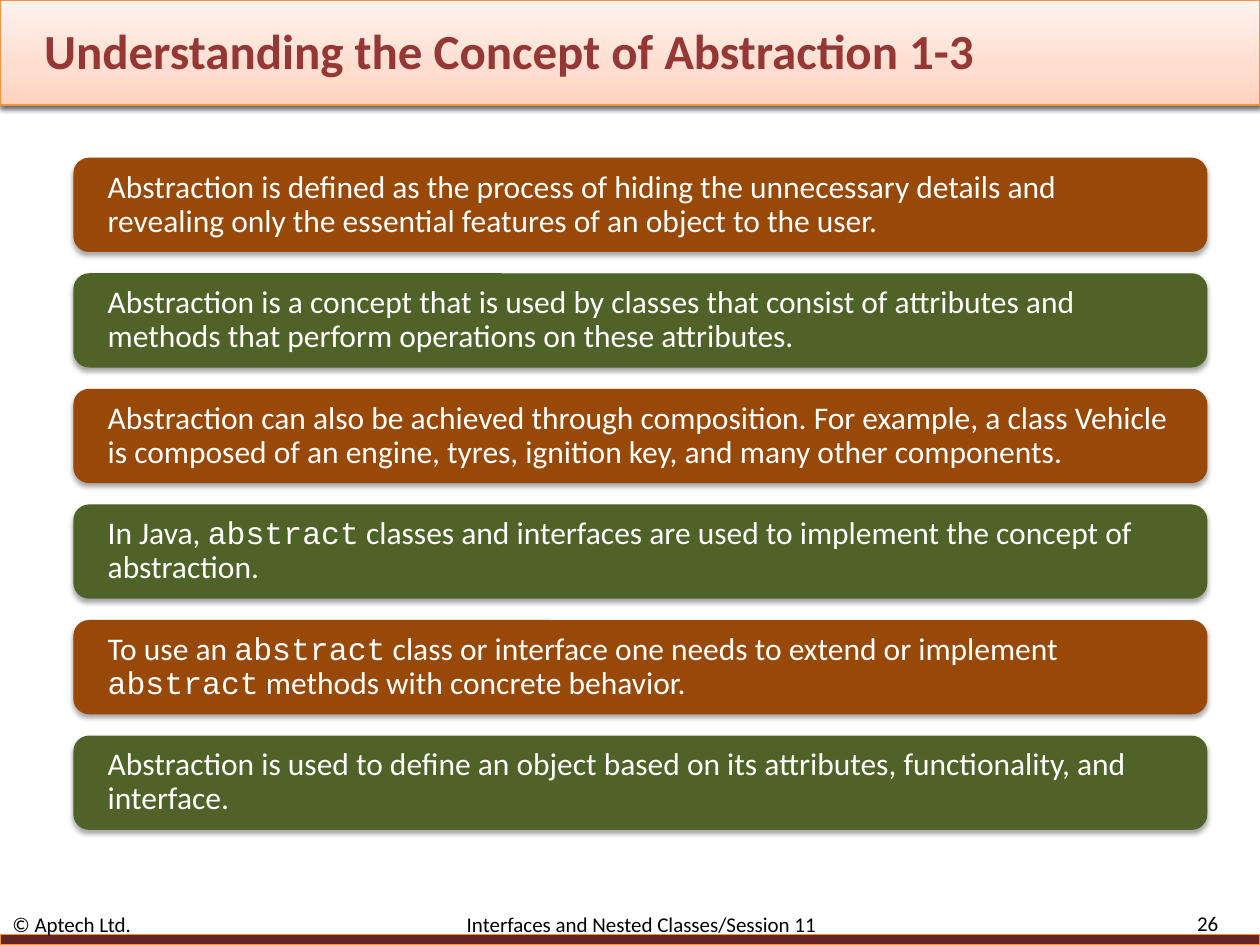
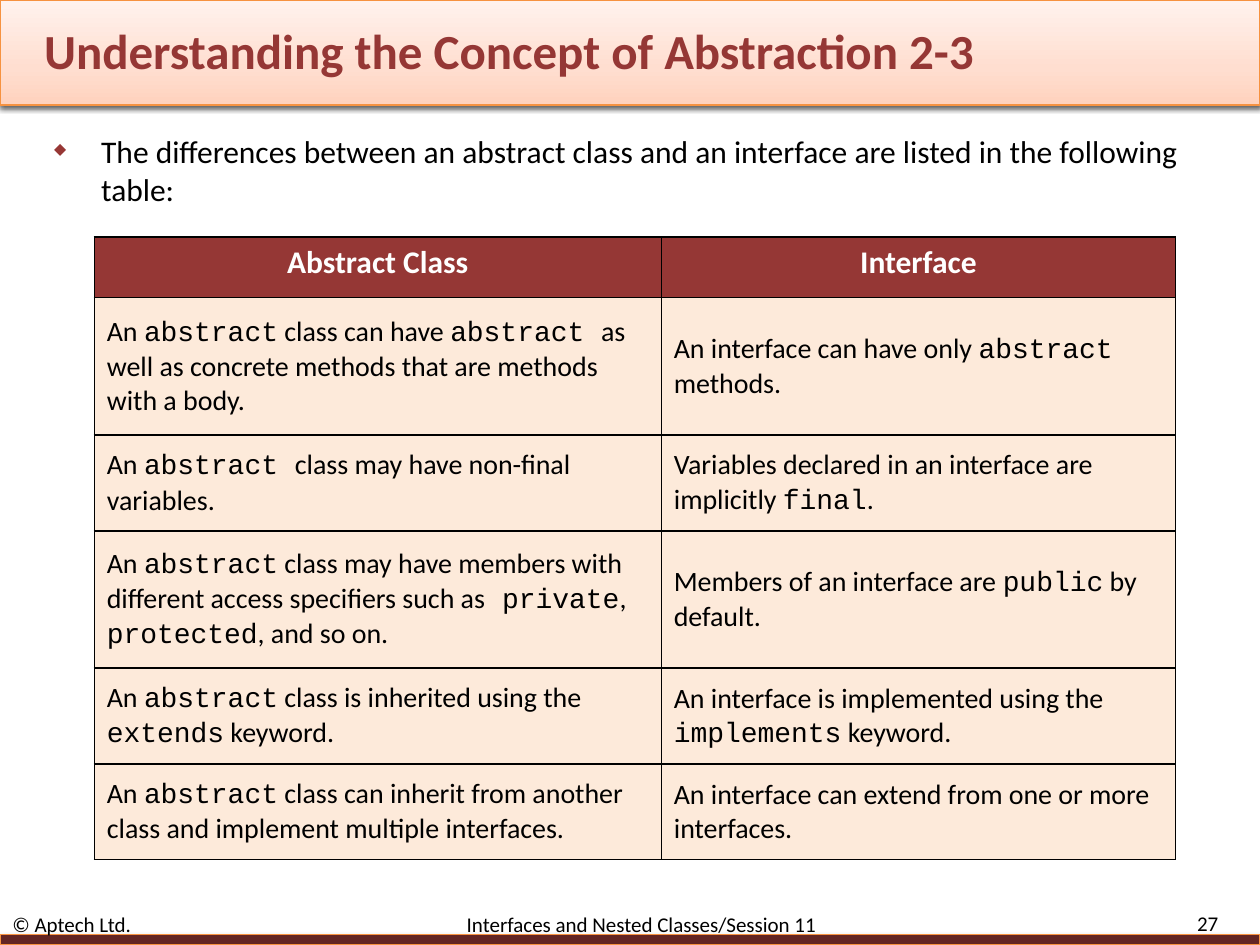
"""Builds two slides on abstraction: a list of panels and a comparison table."""
from itertools import cycle

from lxml.etree import SubElement
from pptx import Presentation
from pptx.dml.color import RGBColor
from pptx.enum.shapes import MSO_SHAPE
from pptx.enum.text import MSO_ANCHOR, PP_ALIGN
from pptx.oxml import parse_xml
from pptx.oxml.ns import nsdecls, qn
from pptx.util import Cm, Pt

TITLE = "Understanding the Concept of Abstraction"
COPYRIGHT = "© Aptech Ltd."
SESSION = "Interfaces and Nested Classes/Session 11"

POINTS = [
    "Abstraction is defined as the process of hiding the unnecessary details and revealing "
    "only the essential features of an object to the user.",
    "Abstraction is a concept that is used by classes that consist of attributes and methods "
    "that perform operations on these attributes.",
    "Abstraction can also be achieved through composition. For example, a class Vehicle is "
    "composed of an engine, tyres, ignition key, and many other components.",
    "In Java, `abstract` classes and interfaces are used to implement the concept of abstraction.",
    "To use an `abstract` class or interface one needs to extend or implement `abstract` "
    "methods with concrete behavior.",
    "Abstraction is used to define an object based on its attributes, functionality, and interface.",
]

INTRO = "The differences between an abstract class and an interface are listed in the following table:"
DIFFERENCES = [
    ("Abstract Class", "Interface"),
    ("An `abstract` class can have `abstract `as well as concrete methods that are methods with a body.",
     "An interface can have only `abstract `methods."),
    ("An `abstract `class may have non-final variables.",
     "Variables declared in an interface are implicitly `final`."),
    ("An `abstract` class may have members with different access specifiers such as` private`, "
     "`protected`, and so on.",
     "Members of an interface are `public` by default."),
    ("An `abstract` class is inherited using the `extends` keyword.",
     "An interface is implemented using the `implements` keyword."),
    ("An `abstract` class can inherit from another class and implement multiple interfaces.",
     "An interface can extend from one or more interfaces."),
]
COLUMN_WIDTHS = (11.43, 10.37)
HEADER_ROW, TWO_LINES, THREE_LINES = 1.22, 1.93, 2.77
ROW_HEIGHTS = (HEADER_ROW, THREE_LINES, TWO_LINES, THREE_LINES, TWO_LINES, TWO_LINES)

TEXT_FONT, CODE_FONT = "Calibri", "Courier New"
BLACK = RGBColor(0x00, 0x00, 0x00)
WHITE = RGBColor(0xFF, 0xFF, 0xFF)
RED = RGBColor(0x95, 0x37, 0x35)
DARK_RED = RGBColor(0x63, 0x25, 0x23)
ORANGE = RGBColor(0xF6, 0x92, 0x40)
BROWN = RGBColor(0x98, 0x48, 0x07)
GREEN = RGBColor(0x4F, 0x62, 0x28)
CREAM = RGBColor(0xFD, 0xEA, 0xDA)
BULLET_RED = RGBColor(0x97, 0x37, 0x35)
BAND_STOPS = [
    (0, RGBColor(0xFF, 0xD2, 0xBD)),
    (35, RGBColor(0xFF, 0xDE, 0xD0)),
    (100, RGBColor(0xFF, 0xF2, 0xED)),
]

SLIDE_WIDTH, SLIDE_HEIGHT = 25.4, 19.05
PANEL_TOP, PANEL_PITCH, PANEL_HEIGHT = 3.18, 2.33, 1.9


def write(paragraph, text, size, color, bold=False):
    """Add text run by run, setting parts between backticks in the code font."""
    for index, part in enumerate(text.split("`")):
        if part:
            span = paragraph.add_run()
            span.text = part
            span.font.name = CODE_FONT if index % 2 else TEXT_FONT
            span.font.size = Pt(size)
            span.font.bold = bold
            span.font.color.rgb = color


def add_text_box(page, left, top, width, height, anchor=MSO_ANCHOR.MIDDLE):
    """Add an empty wrapping text box and return its first paragraph."""
    frame = page.shapes.add_textbox(Cm(left), Cm(top), Cm(width), Cm(height)).text_frame
    frame.word_wrap = True
    frame.vertical_anchor = anchor
    return frame.paragraphs[0]


def add_block(page, kind, left, top, width, height, fill=None, line=None, opacity=35, distance=1.8):
    """Add a preset shape with a soft shadow below it."""
    block = page.shapes.add_shape(kind, Cm(left), Cm(top), Cm(width), Cm(height))
    if fill is None:
        stops = "".join(f'<a:gs pos="{place * 1000}"><a:srgbClr val="{color}"/></a:gs>'
                        for place, color in BAND_STOPS)
        block.fill.background()
        no_fill = block._element.spPr.find(qn("a:noFill"))
        no_fill.getparent().replace(no_fill, parse_xml(
            f'<a:gradFill {nsdecls("a")} rotWithShape="1"><a:gsLst>{stops}</a:gsLst>'
            '<a:lin ang="16200000" scaled="0"/></a:gradFill>'))
    else:
        block.fill.solid()
        block.fill.fore_color.rgb = fill
    if line is None:
        block.line.fill.background()
    else:
        block.line.color.rgb = line
        block.line.width = Pt(0.75)
    block.shadow.inherit = False
    block._element.spPr.find(qn("a:effectLst")).append(parse_xml(
        f'<a:outerShdw {nsdecls("a")} blurRad="{Pt(3.1)}" dist="{Pt(distance)}" dir="5400000" '
        f'rotWithShape="0"><a:srgbClr val="000000"><a:alpha val="{opacity * 1000}"/>'
        '</a:srgbClr></a:outerShdw>'))
    return block


def add_page(deck, part, number):
    """Add a slide with its bands, title and footer."""
    page = deck.slides.add_slide(deck.slide_layouts[6])
    add_block(page, MSO_SHAPE.RECTANGLE, 0, 0, SLIDE_WIDTH, 2.12, line=ORANGE, opacity=60, distance=1.6)
    add_block(page, MSO_SHAPE.RECTANGLE, 0, 18.84, SLIDE_WIDTH, 0.21, DARK_RED, ORANGE)

    title = add_text_box(page, 0.64, 0.43, 21.16, 1.14)
    write(title, f"{TITLE} {part}", 28, RED, bold=True)
    title.runs[0].font._element.insert(0, parse_xml(
        f'<a:ln {nsdecls("a")} w="{Pt(0.75)}"><a:solidFill><a:srgbClr val="{DARK_RED}"/>'
        '</a:solidFill></a:ln>'))

    footer = add_text_box(page, 0, 18.41, 22.43, 0.43)
    tabs = SubElement(footer._p.get_or_add_pPr(), qn("a:tabLst"))
    SubElement(tabs, qn("a:tab"), pos=str(Cm(9.16)), algn="l")
    write(footer, f"{COPYRIGHT}\t{SESSION}", 12, BLACK)

    page_number = add_text_box(page, 22.65, 18.37, 2.16, 0.46)
    page_number.alignment = PP_ALIGN.RIGHT
    write(page_number, str(number), 12, BLACK)
    return page


def add_panels(page):
    """Stack one rounded panel per point, in alternating colours."""
    for index, (point, color) in enumerate(zip(POINTS, cycle((BROWN, GREEN)))):
        panel = add_block(page, MSO_SHAPE.ROUNDED_RECTANGLE, 1.48, PANEL_TOP + index * PANEL_PITCH,
                          22.86, PANEL_HEIGHT, color)
        frame = panel.text_frame
        frame.word_wrap = True
        frame.vertical_anchor = MSO_ANCHOR.MIDDLE
        frame.margin_left, frame.margin_right = Cm(0.6), Cm(0.5)
        paragraph = frame.paragraphs[0]
        paragraph.alignment = PP_ALIGN.LEFT
        paragraph.line_spacing = 0.9
        write(paragraph, point, 18, WHITE)


def add_intro(page):
    """Add the bulleted sentence above the table."""
    intro = add_text_box(page, 0.84, 2.54, 23.93, 1.7, MSO_ANCHOR.TOP)
    properties = intro._p.get_or_add_pPr()
    properties.set("marL", str(Cm(0.95)))
    properties.set("indent", str(-Cm(0.95)))
    bullet_color = SubElement(properties, qn("a:buClr"))
    SubElement(bullet_color, qn("a:srgbClr"), val=str(BULLET_RED))
    SubElement(properties, qn("a:buSzPct"), val="50000")
    SubElement(properties, qn("a:buChar"), char="◆")
    write(intro, INTRO, 18, BLACK)


def add_borders(cell):
    """Draw a thin black line on each side of a cell."""
    for index, side in enumerate(("lnL", "lnR", "lnT", "lnB")):
        cell._tc.get_or_add_tcPr().insert(index, parse_xml(
            f'<a:{side} {nsdecls("a")} w="{Pt(1)}"><a:solidFill><a:srgbClr val="{BLACK}"/>'
            f'</a:solidFill></a:{side}>'))


def add_differences(page):
    """Add the table comparing abstract classes with interfaces."""
    table = page.shapes.add_table(len(DIFFERENCES), len(COLUMN_WIDTHS), Cm(1.9), Cm(4.78),
                                  Cm(sum(COLUMN_WIDTHS)), Cm(sum(ROW_HEIGHTS))).table
    for column, width in zip(table.columns, COLUMN_WIDTHS):
        column.width = Cm(width)
    for row_index, (row, height, texts) in enumerate(zip(table.rows, ROW_HEIGHTS, DIFFERENCES)):
        row.height = Cm(height)
        header = row_index == 0
        for cell, text in zip(row.cells, texts):
            cell.fill.solid()
            cell.fill.fore_color.rgb = RED if header else CREAM
            cell.vertical_anchor = MSO_ANCHOR.TOP if header else MSO_ANCHOR.MIDDLE
            add_borders(cell)
            paragraph = cell.text_frame.paragraphs[0]
            paragraph.alignment = PP_ALIGN.CENTER if header else PP_ALIGN.LEFT
            write(paragraph, text, 18 if header else 16, WHITE if header else BLACK, header)


def main():
    """Build both slides and save the deck."""
    deck = Presentation()
    deck.slide_width, deck.slide_height = Cm(SLIDE_WIDTH), Cm(SLIDE_HEIGHT)
    add_panels(add_page(deck, "1-3", 26))
    comparison = add_page(deck, "2-3", 27)
    add_intro(comparison)
    add_differences(comparison)
    deck.save("out.pptx")


if __name__ == "__main__":
    main()
